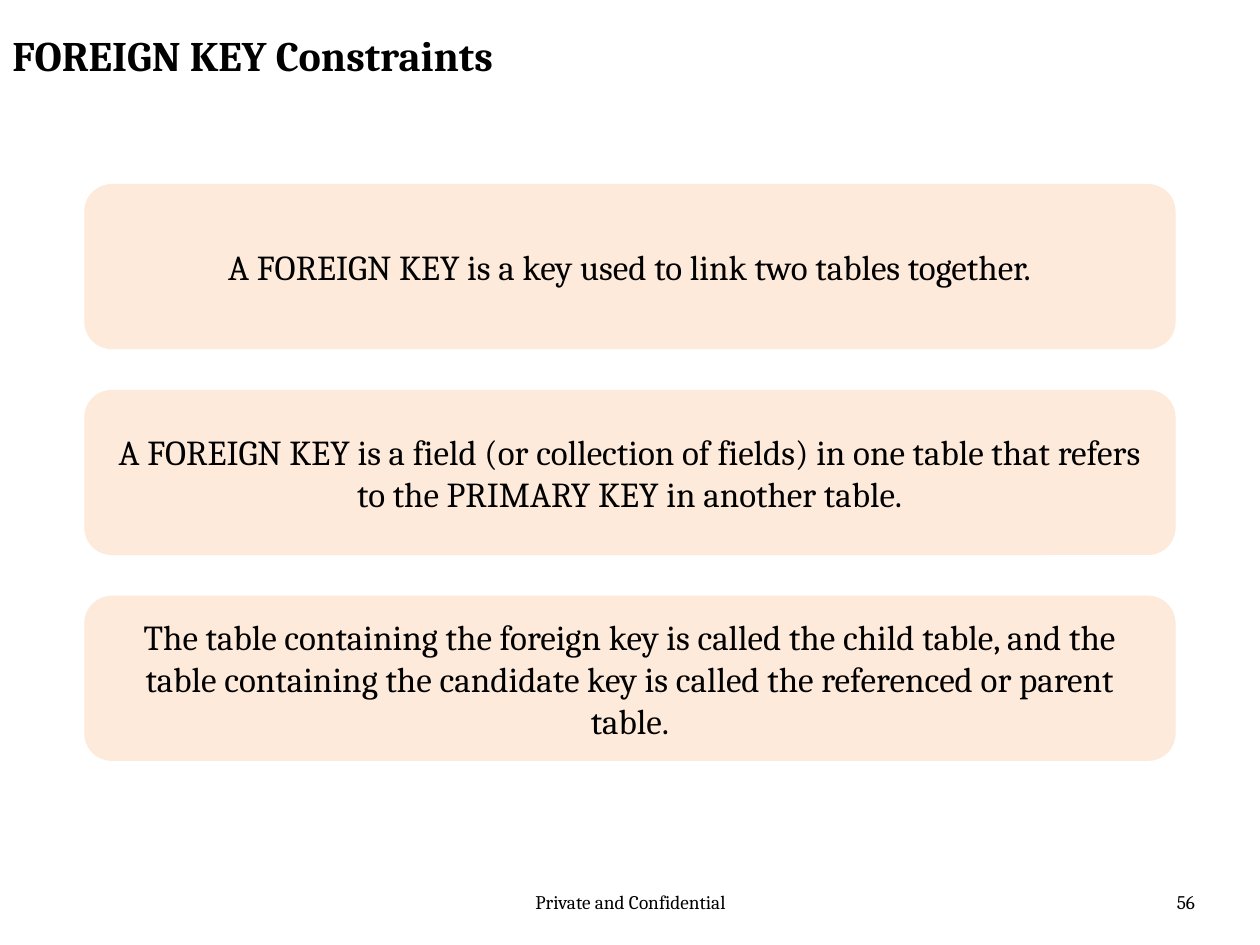
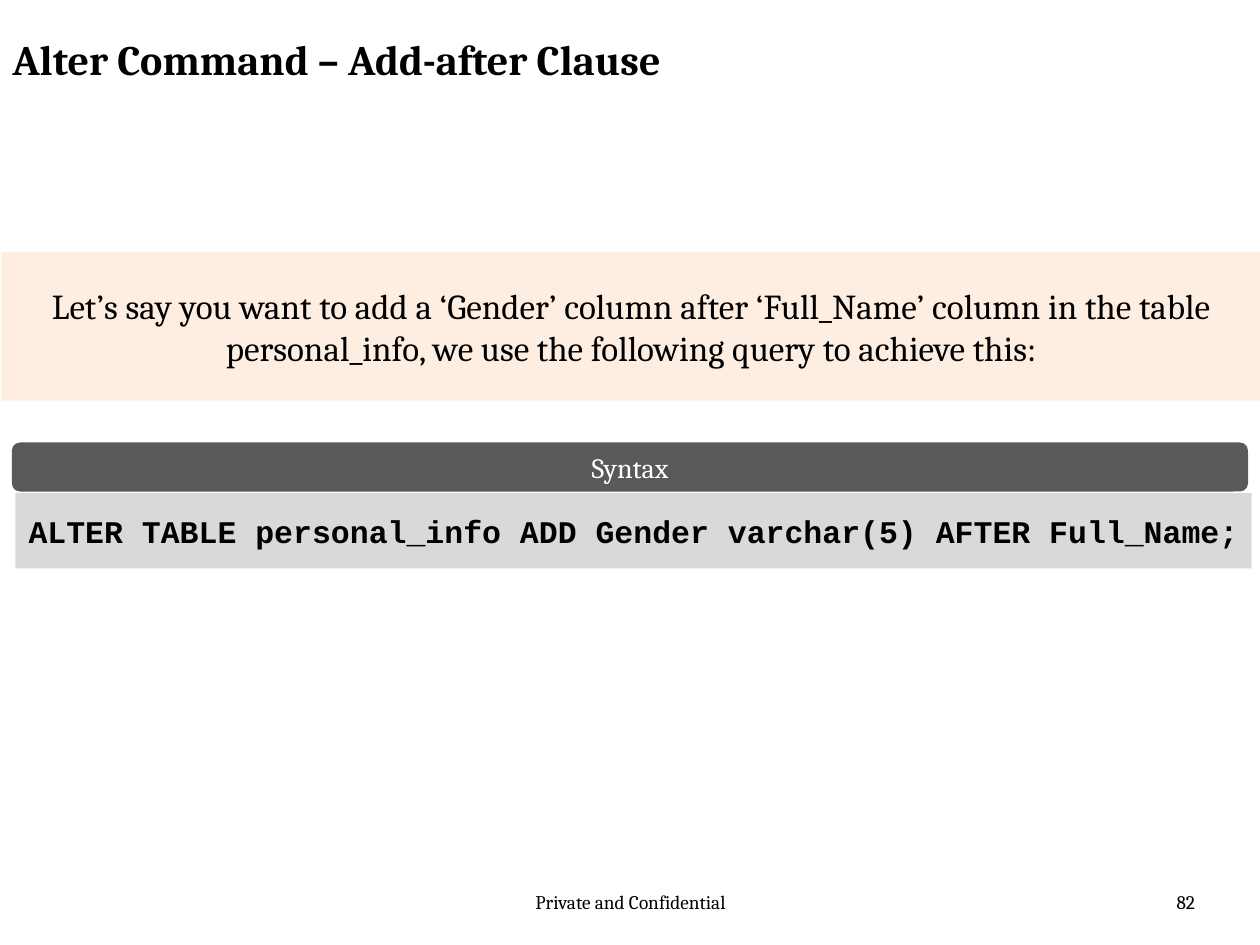
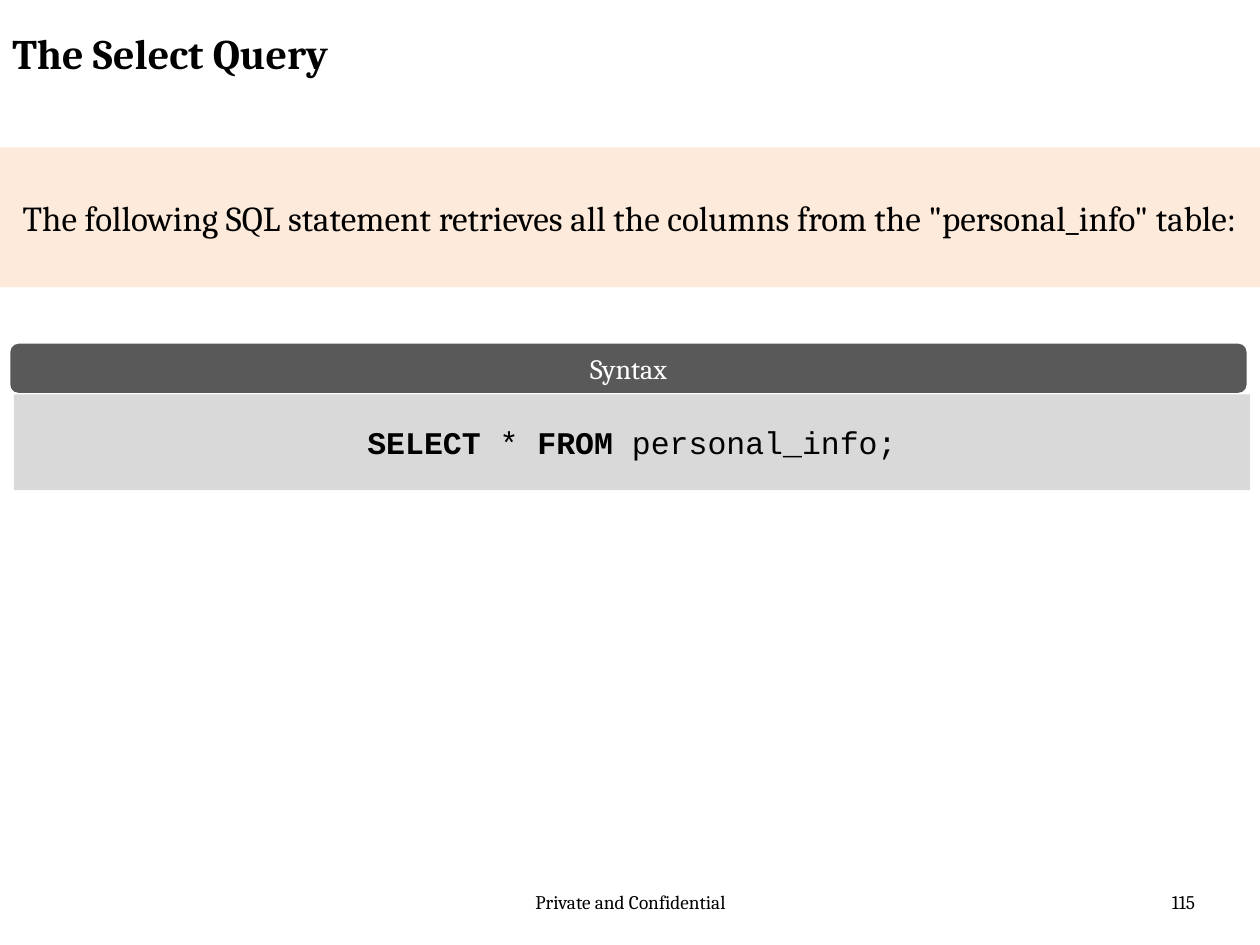
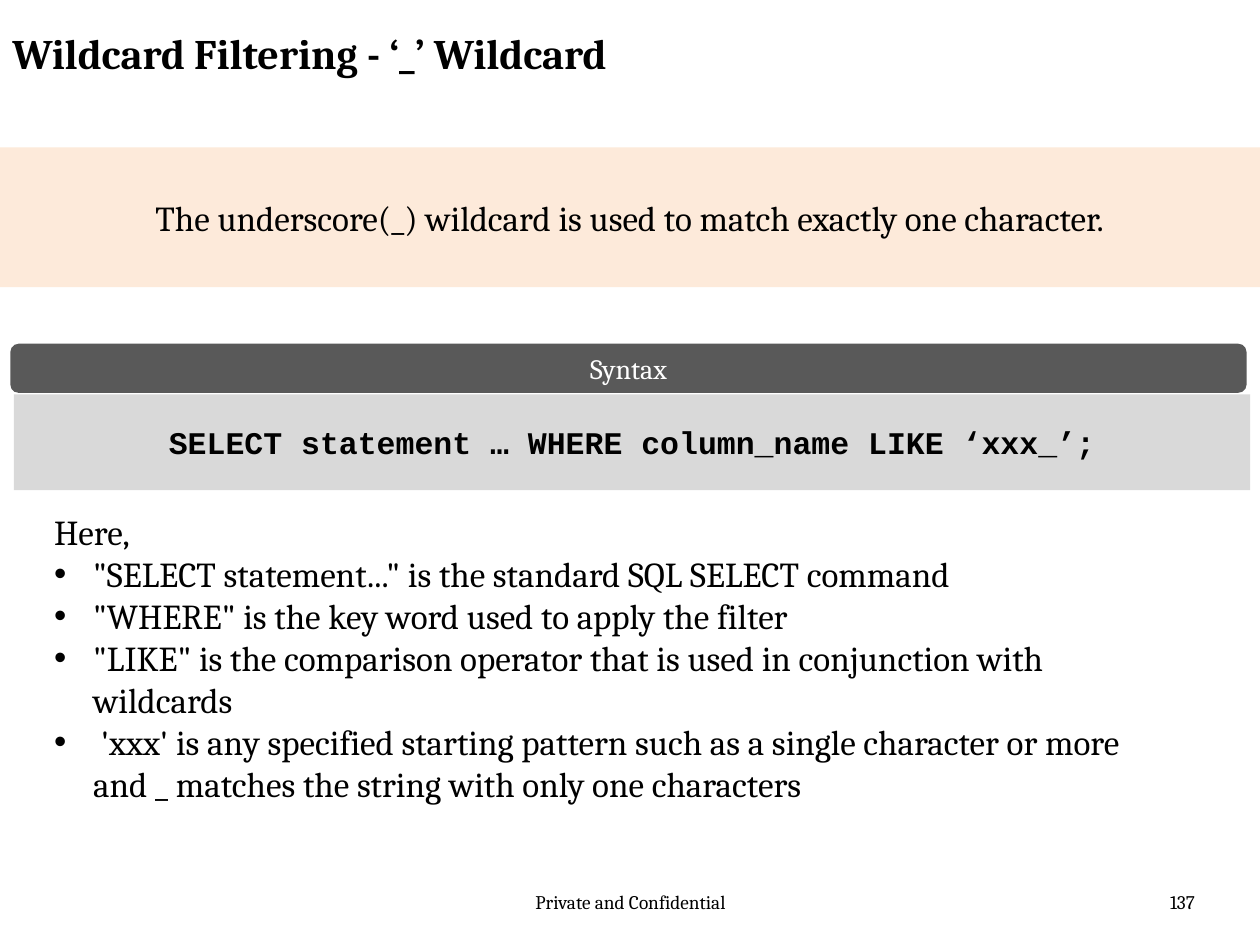
from lxml import etree
from pptx import Presentation, util as u
from pptx.dml.color import RGBColor
from pptx.enum import shapes, text
from pptx.oxml.ns import qn

COLORS = {
    "ink": "000000",
    "paper": "FFFFFF",
    "peach": "FDEADA",
    "heading": "595959",
    "code": "D9D9D9",
}
BODY_FONT, CODE_FONT = "Cambria", "Courier New"
LEFT, CENTER, RIGHT = (text.PP_ALIGN.LEFT, text.PP_ALIGN.CENTER,
                       text.PP_ALIGN.RIGHT)
RECT = shapes.MSO_SHAPE.RECTANGLE
ROUNDED = shapes.MSO_SHAPE.ROUNDED_RECTANGLE


class Deck:
    def __init__(self):
        self.prs = Presentation()
        self.prs.slide_width = u.Cm(25.4)
        self.prs.slide_height = u.Cm(19.05)
        self.s = None

    def slide(self, title, title_top, number):
        """Start a slide with its title, footer and page number."""
        self.s = self.prs.slides.add_slide(self.prs.slide_layouts[6])
        self.text_box((8.69, 17.83, 8.05, 1.02), "Private and Confidential",
                      size=11, align=CENTER)
        self.text_box((18.42, 17.83, 5.92, 1.02), str(number),
                      size=11, align=RIGHT)
        self.text_box((0, title_top, 19.28, 1.57), title, size=24, bold=True)

    def style_runs(self, p, size, font=BODY_FONT, color="ink", bold=False,
                   align=LEFT):
        p.alignment = align
        for r in p.runs:
            r.font.size = u.Pt(size)
            r.font.name = font
            r.font.bold = bold
            r.font.color.rgb = RGBColor.from_string(COLORS[color])

    def text_box(self, box, content, **style):
        tf = self.s.shapes.add_textbox(*map(u.Cm, box)).text_frame
        tf.word_wrap = True
        tf.text = content
        for p in tf.paragraphs:
            self.style_runs(p, **style)
        return tf

    def panel(self, kind, box, fill, content, inset=0.25, **style):
        """Add a filled shape with centred text."""
        sp = self.s.shapes.add_shape(kind, *map(u.Cm, box))
        sp.shadow.inherit = False
        sp.fill.solid()
        sp.fill.fore_color.rgb = RGBColor.from_string(COLORS[fill])
        sp.line.fill.background()
        tf = sp.text_frame
        tf.word_wrap = True
        tf.vertical_anchor = text.MSO_ANCHOR.MIDDLE
        tf.margin_left = tf.margin_right = u.Cm(inset)
        tf.text = content
        self.style_runs(tf.paragraphs[0], align=CENTER, **style)
        return sp

    def cards(self, contents):
        for i, content in enumerate(contents):
            self.panel(ROUNDED, (1.7, 3.71 + 4.15 * i, 22, 3.33), "peach",
                       content, inset=0.38, size=20)

    def band(self, content, left=0, top=2.97, height=2.82, opacity=100):
        sp = self.panel(RECT, (left, top, 25.4, height), "peach", content,
                        size=20)
        if opacity < 100:
            color = sp.element.spPr.find(qn("a:solidFill"))[0]
            etree.SubElement(color, qn("a:alpha"), val=str(opacity * 1000))

    def syntax(self, parts, left=0.21, top=6.93, code_height=1.93):
        """Add the Syntax heading over code given as (text, bold) parts."""
        self.panel(ROUNDED, (left, top, 24.92, 0.99), "heading", "Syntax",
                   size=16, color="paper")
        sp = self.panel(ROUNDED, (left + 0.07, top + 1.02, 24.92, code_height),
                        "code", "", inset=0.1, size=18)
        sp.adjustments[0] = 0
        p = sp.text_frame.paragraphs[0]
        for content, _ in parts:
            p.add_run().text = content
        self.style_runs(p, 18, font=CODE_FONT, align=CENTER)
        for r, (_, bold) in zip(p.runs, parts):
            r.font.bold = bold

    def bullets(self, lead, items):
        """Add a lead line followed by bulleted items."""
        tf = self.text_box((0.84, 10.16, 22.02, 6.25),
                           "\n".join([lead, *items]), size=20)
        indent = u.Cm(0.79)
        for p in tf.paragraphs[1:]:
            pPr = p._p.get_or_add_pPr()
            pPr.set("marL", str(indent))
            pPr.set("indent", str(-indent))
            etree.SubElement(pPr, qn("a:buFont"), typeface="Arial")
            etree.SubElement(pPr, qn("a:buChar"), char="•")


def main():
    deck = Deck()

    deck.slide("FOREIGN KEY Constraints", 0.48, 56)
    deck.cards([
        "A FOREIGN KEY is a key used to link two tables together.",
        "A FOREIGN KEY is a field (or collection of fields) in one table "
        "that refers to the PRIMARY KEY in another table.",
        "The table containing the foreign key is called the child table, and "
        "the table containing the candidate key is called the referenced or "
        "parent table.",
    ])

    deck.slide("Alter Command – Add-after Clause", 0.56, 82)
    deck.band("Let’s say you want to add a ‘Gender’ column after ‘Full_Name’ "
              "column in the table personal_info, we use the following query "
              "to achieve this:", left=0.03, top=5.08, height=3, opacity=79)
    deck.syntax([("ALTER TABLE personal_info ADD Gender varchar(5) "
                  "AFTER Full_Name;", True)],
                left=0.24, top=8.92, code_height=1.52)

    deck.slide("The Select Query", 0.43, 115)
    deck.band("The following SQL statement retrieves all the columns from the "
              '"personal_info" table:')
    deck.syntax([("SELECT", True), (" * ", False), ("FROM ", True),
                 ("personal_info;", False)])

    deck.slide("Wildcard Filtering - ‘_’ Wildcard", 0.43, 137)
    deck.band("The underscore(_) wildcard is used to match exactly one "
              "character.")
    deck.syntax([("SELECT statement … WHERE column_name LIKE ‘xxx_’;", True)])
    deck.bullets("Here,", [
        '"SELECT statement..." is the standard SQL SELECT command',
        '"WHERE" is the key word used to apply the filter',
        '"LIKE" is the comparison operator that is used in conjunction with '
        "wildcards",
        " 'xxx' is any specified starting pattern such as a single character "
        "or more and _ matches the string with only one characters",
    ])

    deck.prs.save("out.pptx")


if __name__ == "__main__":
    main()
